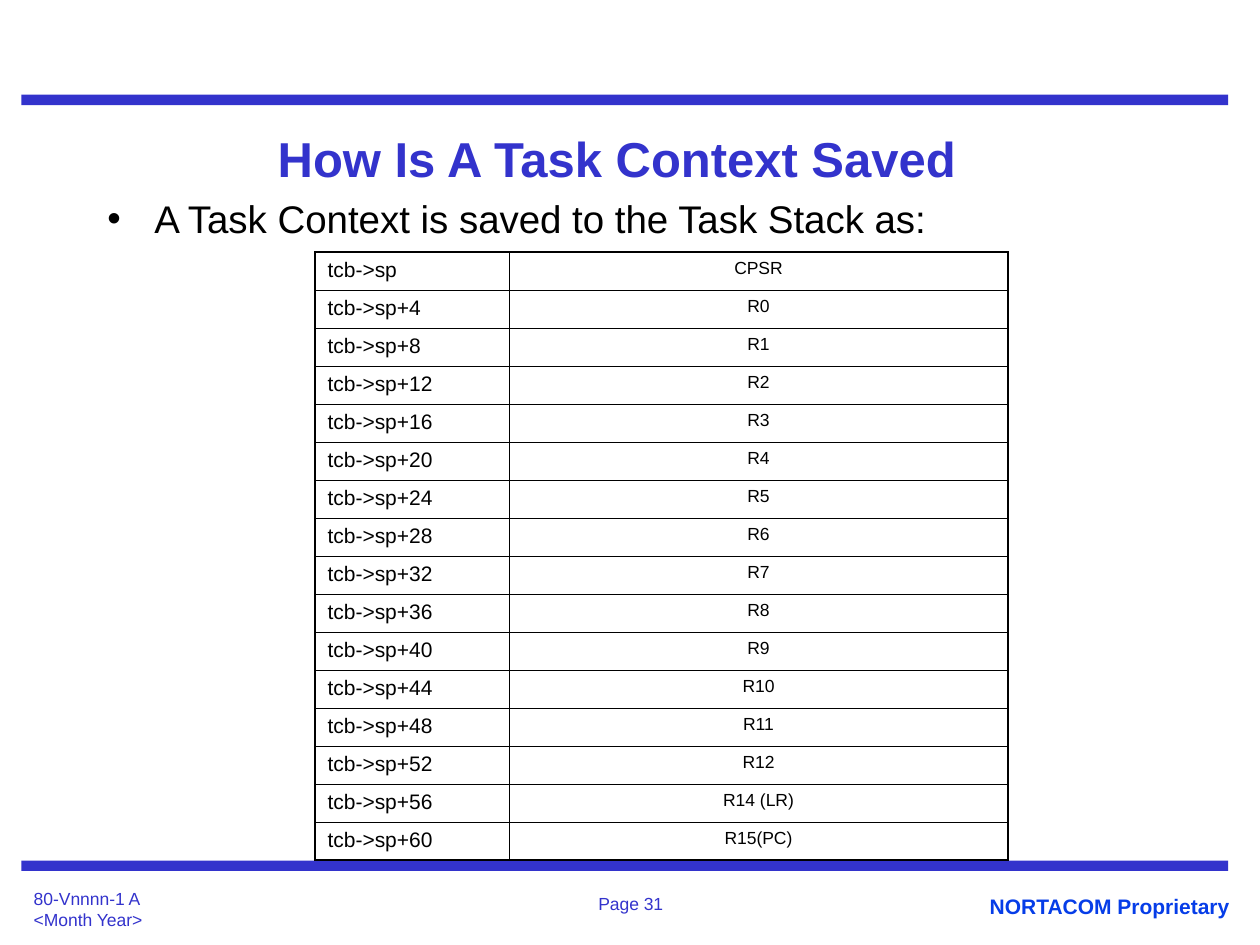
from lxml import etree
from pptx import Presentation
from pptx.dml.color import RGBColor
from pptx.enum.shapes import MSO_SHAPE
from pptx.enum.text import MSO_ANCHOR, MSO_AUTO_SIZE, PP_ALIGN
from pptx.oxml.ns import qn
from pptx.util import Cm, Pt

LEFT, CENTER, RIGHT = PP_ALIGN.LEFT, PP_ALIGN.CENTER, PP_ALIGN.RIGHT
COLORS = {"indigo": "3333CC", "blue": "063DE8", "black": "000000"}


def format_text(text_frame, size, color, align=LEFT, bold=False):
    text_frame.word_wrap = True
    for paragraph in text_frame.paragraphs:
        paragraph.alignment = align
        paragraph.space_before = Pt(0)
        for run in paragraph.runs:
            run.font.name = "Arial"
            run.font.size = Pt(size)
            run.font.bold = bold
            run.font.color.rgb = RGBColor.from_string(COLORS[color])


def add_color(parent, color):
    etree.SubElement(parent, qn("a:srgbClr"), val=COLORS[color])


presentation = Presentation()
presentation.slide_width = Cm(25.4)
presentation.slide_height = Cm(19.05)
slide = presentation.slides.add_slide(presentation.slide_layouts[1])

# Rules above and below the content
for top in (1.91, 17.35):
    bar = slide.shapes.add_shape(
        MSO_SHAPE.RECTANGLE, Cm(0.43), Cm(top), Cm(24.33), Cm(0.21))
    bar.shadow.inherit = False
    bar.fill.solid()
    bar.fill.fore_color.rgb = RGBColor.from_string(COLORS["indigo"])
    bar.line.fill.background()

# Footer: left, top, width, height, text, size, color, alignment, bold
footers = [
    (0.43, 17.78, 5.28, 1.07, "80-Vnnnn-1 A\n<Month Year>", 10, "indigo", LEFT, False),
    (8.69, 17.88, 8.05, 0.79, "Page 31", 10, "indigo", CENTER, False),
    (19.2, 17.88, 5.84, 0.76, "NORTACOM Proprietary", 12, "blue", RIGHT, True),
]
for left, top, width, height, text, size, color, align, bold in footers:
    footer = slide.shapes.add_textbox(Cm(left), Cm(top), Cm(width), Cm(height))
    footer.text_frame.text = text
    format_text(footer.text_frame, size, color, align, bold)

title = slide.shapes.title
title.left, title.top, title.width, title.height = Cm(1.91), Cm(2.34), Cm(21.59), Cm(1.7)
title.text_frame.text = "How Is A Task Context Saved"
title.text_frame.auto_size = MSO_AUTO_SIZE.NONE
title.text_frame.vertical_anchor = MSO_ANCHOR.MIDDLE
title.text_frame.margin_right = Cm(0.8)
format_text(title.text_frame, 28, "indigo", CENTER, True)

body = slide.placeholders[1]
body.left, body.top, body.width, body.height = Cm(1.91), Cm(3.81), Cm(21.59), Cm(12.9)
body.text_frame.text = "A Task Context is saved to the Task Stack as:"
body.text_frame.auto_size = MSO_AUTO_SIZE.NONE
format_text(body.text_frame, 22, "black")
properties = body.text_frame.paragraphs[0]._p.get_or_add_pPr()
properties.set("marL", str(Cm(0.95)))
properties.set("indent", str(Cm(-0.95)))
add_color(etree.SubElement(properties, qn("a:buClr")), "black")
etree.SubElement(properties, qn("a:buChar"), char="•")

# Stack layout: one four-byte slot per register
registers = ["CPSR"] + [f"R{number}" for number in range(13)] + ["R14 (LR)", "R15(PC)"]
row_count = len(registers)
table = slide.shapes.add_table(
    row_count, 2, Cm(6.35), Cm(5.08), Cm(13.97), Cm(12.27)).table
table.first_row = False
table.horz_banding = False
table.columns[0].width = Cm(3.91)
table.columns[1].width = Cm(10.06)

for row, register in enumerate(registers):
    address = f"tcb->sp+{4 * row}" if row else "tcb->sp"
    for column, (text, size, align) in enumerate(
            [(address, 12, LEFT), (register, 10, CENTER)]):
        cell = table.cell(row, column)
        cell.text_frame.text = text
        format_text(cell.text_frame, size, "black", align)
        outer_edges = {
            "a:lnL": column == 0,
            "a:lnR": column == 1,
            "a:lnT": row == 0,
            "a:lnB": row == row_count - 1,
        }
        cell_properties = cell._tc.get_or_add_tcPr()
        for edge, is_outer in outer_edges.items():
            line = etree.SubElement(
                cell_properties, qn(edge), w=str(Pt(1.08 if is_outer else 0.45)))
            add_color(etree.SubElement(line, qn("a:solidFill")), "black")
        cell.fill.background()

presentation.save("out.pptx")
